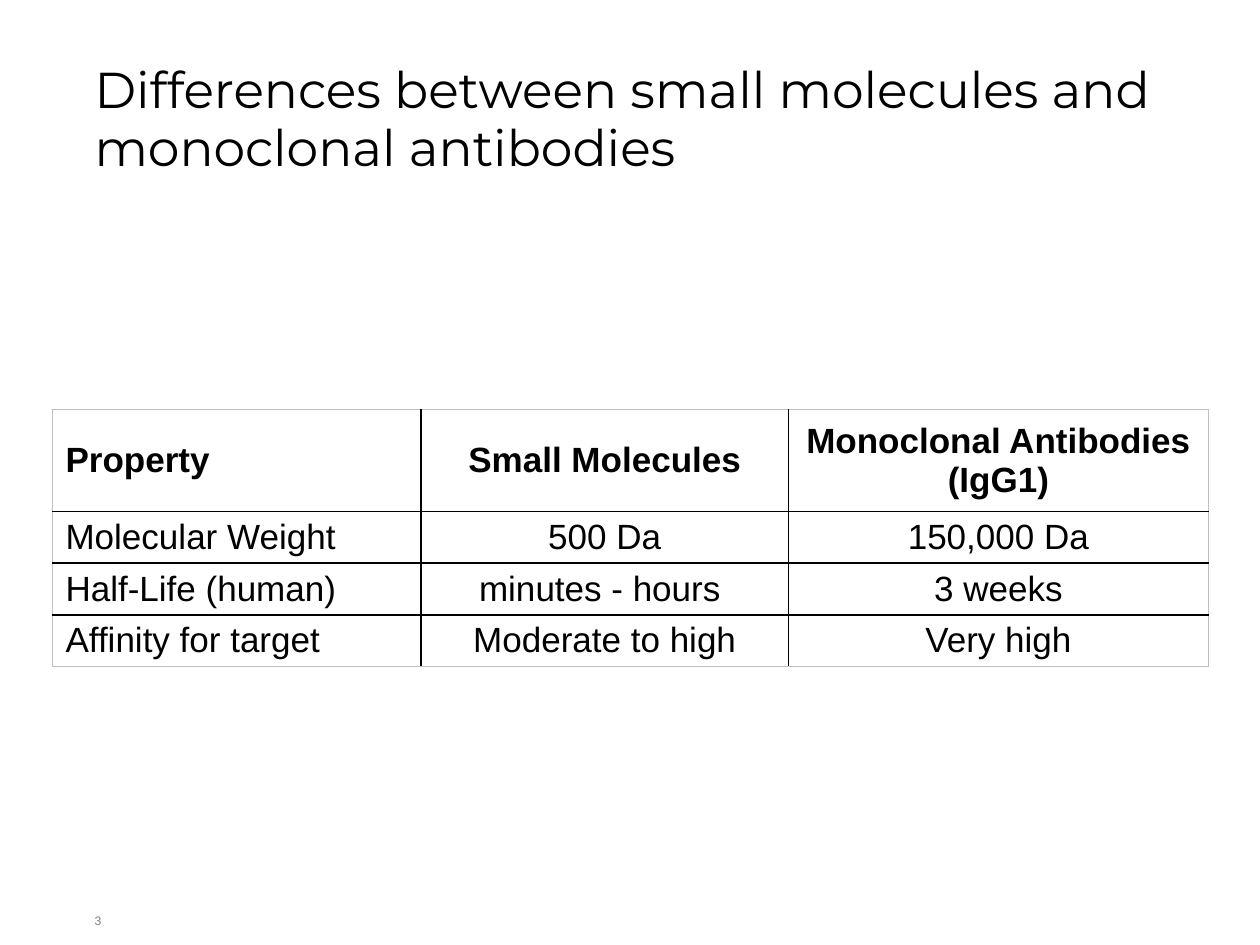
from lxml.etree import SubElement
from pptx import Presentation
from pptx.dml.color import RGBColor
from pptx.enum.text import MSO_ANCHOR as Anchor, PP_ALIGN as Align
from pptx.oxml.ns import qn
from pptx.util import Inches, Pt

COLORS = {"text": "000000", "rule": "000000", "frame": "BFBFBF", "number": "7F7F7F"}

TITLE = "Differences between small molecules and monoclonal antibodies"
COLUMN_WIDTHS = [2.92, 2.92, 3.33]
ROW_HEIGHTS = [0.81, 0.41, 0.41, 0.41]
PROPERTIES = [
    ["Property", "Small Molecules", "Monoclonal Antibodies\n(IgG1)"],
    ["Molecular Weight", "500 Da", "150,000 Da"],
    ["Half-Life (human)", "minutes - hours ", "3 weeks"],
    ["Affinity for target", "Moderate to high", "Very high"],
]


class SlideBuilder:
    title_font = "Montserrat"
    body_font = "Arial"

    def __init__(self, slide):
        self.slide = slide

    def add_text(self, frame, text, size, font, color="text", bold=False, align=Align.LEFT, spacing=None):
        """Fill a text frame, one paragraph per line of text."""
        for index, line in enumerate(text.split("\n")):
            paragraph = frame.add_paragraph() if index else frame.paragraphs[0]
            paragraph.alignment = align
            paragraph.line_spacing = spacing
            run = paragraph.add_run()
            run.text = line
            run.font.size = Pt(size)
            run.font.name = font
            run.font.bold = bold
            run.font.color.rgb = RGBColor.from_string(COLORS[color])

    def prepare(self, frame):
        """Wrap the text, anchor it at the top and remove the margins."""
        frame.word_wrap = True
        frame.vertical_anchor = Anchor.TOP
        frame.margin_left = frame.margin_right = frame.margin_top = frame.margin_bottom = 0

    def title(self, text, left, top, width, height):
        title = self.slide.shapes.title
        title.left, title.top = Inches(left), Inches(top)
        title.width, title.height = Inches(width), Inches(height)
        self.prepare(title.text_frame)
        self.add_text(title.text_frame, text, 28.8, self.title_font, spacing=0.95)

    def page_number(self, number, left, top, width, height):
        box = self.slide.shapes.add_textbox(Inches(left), Inches(top), Inches(width), Inches(height))
        self.prepare(box.text_frame)
        self.add_text(box.text_frame, number, 7, self.body_font, "number")

    def border(self, cell, side, color, width):
        line = SubElement(cell._tc.get_or_add_tcPr(), qn(f"a:{side}"), w=str(Pt(width)))
        fill = SubElement(line, qn("a:solidFill"))
        SubElement(fill, qn("a:srgbClr"), val=COLORS[color])

    def table(self, rows, left, top, widths, heights):
        table = self.slide.shapes.add_table(
            len(rows), len(widths), Inches(left), Inches(top), Inches(sum(widths)), Inches(sum(heights))
        ).table
        table.first_row = table.horz_banding = False
        for column, width in zip(table.columns, widths):
            column.width = Inches(width)
        for row, height in zip(table.rows, heights):
            row.height = Inches(height)

        last_row, last_column = len(rows) - 1, len(widths) - 1
        for r, values in enumerate(rows):
            for c, value in enumerate(values):
                cell = table.cell(r, c)
                cell.vertical_anchor = Anchor.MIDDLE
                self.add_text(cell.text_frame, value, 20, self.body_font, bold=r == 0,
                              align=Align.CENTER if c else Align.LEFT)
                outer_sides = {"lnL": c == 0, "lnR": c == last_column, "lnT": r == 0, "lnB": r == last_row}
                for side, is_outer in outer_sides.items():
                    self.border(cell, side, "frame" if is_outer else "rule", 0.75 if is_outer else 1)
                cell.fill.background()


def main():
    deck = Presentation()
    deck.slide_width, deck.slide_height = Inches(10), Inches(7.5)
    builder = SlideBuilder(deck.slides.add_slide(deck.slide_layouts[5]))
    builder.title(TITLE, 0.75, 0.5, 8.5, 1.05)
    builder.table(PROPERTIES, 0.42, 3.25, COLUMN_WIDTHS, ROW_HEIGHTS)
    builder.page_number("3", 0.75, 7.25, 0.25, 0.25)
    deck.save("out.pptx")


if __name__ == "__main__":
    main()
